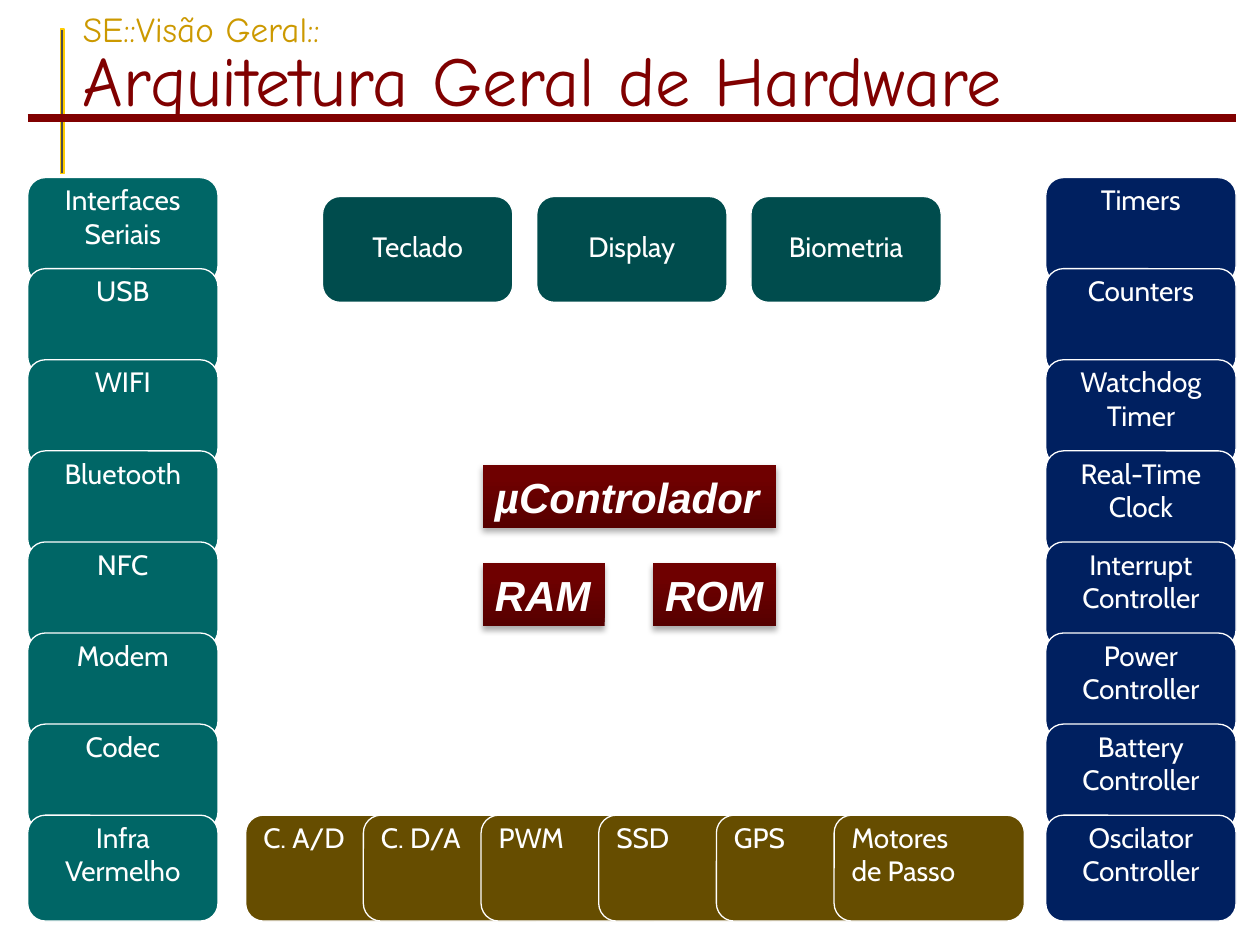
from lxml import etree
from pptx import Presentation
from pptx.dml.color import RGBColor
from pptx.enum.shapes import MSO_CONNECTOR, MSO_SHAPE
from pptx.enum.text import MSO_ANCHOR, PP_ALIGN
from pptx.oxml import parse_xml
from pptx.oxml.ns import qn
from pptx.util import Inches, Pt

RECT, ROUND = MSO_SHAPE.RECTANGLE, MSO_SHAPE.ROUNDED_RECTANGLE
STRAIGHT = MSO_CONNECTOR.STRAIGHT
LEFT, CENTER = PP_ALIGN.LEFT, PP_ALIGN.CENTER
TOP, MIDDLE = MSO_ANCHOR.TOP, MSO_ANCHOR.MIDDLE

WHITE = RGBColor(0xFF, 0xFF, 0xFF)
GRAY = RGBColor(0x4D, 0x4D, 0x4D)
YELLOW = RGBColor(0xFF, 0xCC, 0x00)
GOLD = RGBColor(0xCC, 0x99, 0x00)
RED = RGBColor(0x80, 0x00, 0x00)
DARK_RED = RGBColor(0x56, 0x00, 0x00)
DEEP_RED = RGBColor(0x6F, 0x00, 0x00)
PINE = RGBColor(0x00, 0x4C, 0x4D)
TEAL = RGBColor(0x00, 0x66, 0x66)
NAVY = RGBColor(0x00, 0x20, 0x60)
BROWN = RGBColor(0x66, 0x4D, 0x00)

CARD_W, CARD_H = 1.51, 0.84
SHADOW = (
    '<a:outerShdw xmlns:a="http://schemas.openxmlformats.org/drawingml/2006/main"'
    ' blurRad="44450" dist="27940" dir="5400000" rotWithShape="0">'
    '<a:srgbClr val="000000"><a:alpha val="32000"/></a:srgbClr></a:outerShdw>'
)

USER = ["Teclado", "Display", "Biometria"]
COMMS = ["Interfaces Seriais", "USB", "WIFI", "Bluetooth", "NFC", "Modem",
         "Codec", "Infra Vermelho"]
CONTROL = ["Timers", "Counters", "Watchdog\nTimer", "Real-Time Clock",
           "Interrupt Controller", "Power\nController", "Battery\nController",
           "Oscilator\nController"]
DEVICES = ["C. A/D", "C. D/A", "PWM", "SSD", "GPS", "Motores\nde Passo"]
CORE = [("µControlador", 0, 0, 2.33), ("RAM", 0, 0.78, 0.97),
        ("ROM", 1.35, 0.78, 0.98)]


def add_run(para, text, size, font, color):
    """Add one styled run to a paragraph and return it."""
    run = para.add_run()
    run.text = text
    run.font.size = Pt(size)
    run.font.name = font
    run.font.color.rgb = color
    return run


def add_shape(slide, kind, left, top, width, height):
    """Add a preset shape without a shadow."""
    shape = slide.shapes.add_shape(
        kind, Inches(left), Inches(top), Inches(width), Inches(height))
    shape.shadow.inherit = False
    return shape


def paint(shape, fill, line):
    """Give a shape a solid fill and a thin outline."""
    shape.fill.solid()
    shape.fill.fore_color.rgb = fill
    shape.line.color.rgb = line
    shape.line.width = Pt(0.75)


def add_title(slide, left, top, width, height):
    """Place the two-line title with its crossing rules."""
    bar = add_shape(slide, RECT, 0.48, 0.23, 0.03, 1.15)
    paint(bar, GRAY, YELLOW)
    rule = slide.shapes.add_connector(
        STRAIGHT, Inches(0.22), Inches(0.94), Inches(9.81), Inches(0.94))
    rule.line.color.rgb = RED
    rule.line.width = Pt(4.5)
    etree.SubElement(rule._element.spPr, qn("a:effectLst"))
    box = slide.shapes.add_textbox(
        Inches(left), Inches(top), Inches(width), Inches(height))
    frame = box.text_frame
    frame.word_wrap = True
    frame.vertical_anchor = MIDDLE
    para = frame.paragraphs[0]
    para.line_spacing = 0.85
    add_run(para, "SE::Visão Geral::", 20, "Comic Neue", GOLD)
    para.add_line_break()
    add_run(para, "Arquitetura Geral de Hardware", 40, "Comic Neue", RED)


def add_card(slide, text, left, top, fill, align, anchor):
    """Place one rounded card, one paragraph for each line of text."""
    card = add_shape(slide, ROUND, left, top, CARD_W, CARD_H)
    paint(card, fill, WHITE)
    frame = card.text_frame
    frame.word_wrap = True
    frame.vertical_anchor = anchor
    frame.margin_top = 0
    for i, line in enumerate(text.split("\n")):
        para = frame.add_paragraph() if i else frame.paragraphs[0]
        para.alignment = align
        add_run(para, line, 16, "Cabin", WHITE)


def add_cards(slide, names, left, top, step, fill, align=CENTER, anchor=TOP):
    """Place cards from a corner, moving by an (x, y) step."""
    for i, name in enumerate(names):
        add_card(slide, name, left + i * step[0], top + i * step[1],
                 fill, align, anchor)


def add_core(slide, left, top):
    """Place the controller and memory blocks in the centre."""
    for name, dx, dy, width in CORE:
        block = add_shape(slide, RECT, left + dx, top + dy, width, 0.5)
        block.line.fill.background()
        block.fill.gradient()
        block.fill.gradient_angle = 90
        stops = block.fill.gradient_stops
        for stop, color, place in zip(stops, (DARK_RED, DEEP_RED), (0, 0.8)):
            stop.color.rgb = color
            stop.position = place
        effects = block._element.spPr.find(qn("a:effectLst"))
        effects.append(parse_xml(SHADOW))
        frame = block.text_frame
        frame.word_wrap = False
        frame.vertical_anchor = TOP
        para = frame.paragraphs[0]
        para.alignment = LEFT
        run = add_run(para, name, 24, "Arial", WHITE)
        run.font.bold = run.font.italic = True


def main():
    """Build the slide and save it."""
    deck = Presentation()
    deck.slide_width, deck.slide_height = Inches(10), Inches(7.5)
    slide = deck.slides.add_slide(deck.slide_layouts[6])
    add_title(slide, 0.56, -0.09, 9.44, 1.25)
    add_cards(slide, USER, 2.56, 1.56, (1.7, 0), PINE, anchor=MIDDLE)
    add_cards(slide, DEVICES, 1.95, 6.47, (4.67 / 5, 0), BROWN, LEFT)
    column = (0, 5.06 / 7)
    add_cards(slide, CONTROL, 8.3, 1.41, column, NAVY)
    add_cards(slide, COMMS, 0.22, 1.41, column, TEAL)
    add_core(slide, 3.83, 3.69)
    deck.save("out.pptx")


if __name__ == "__main__":
    main()
